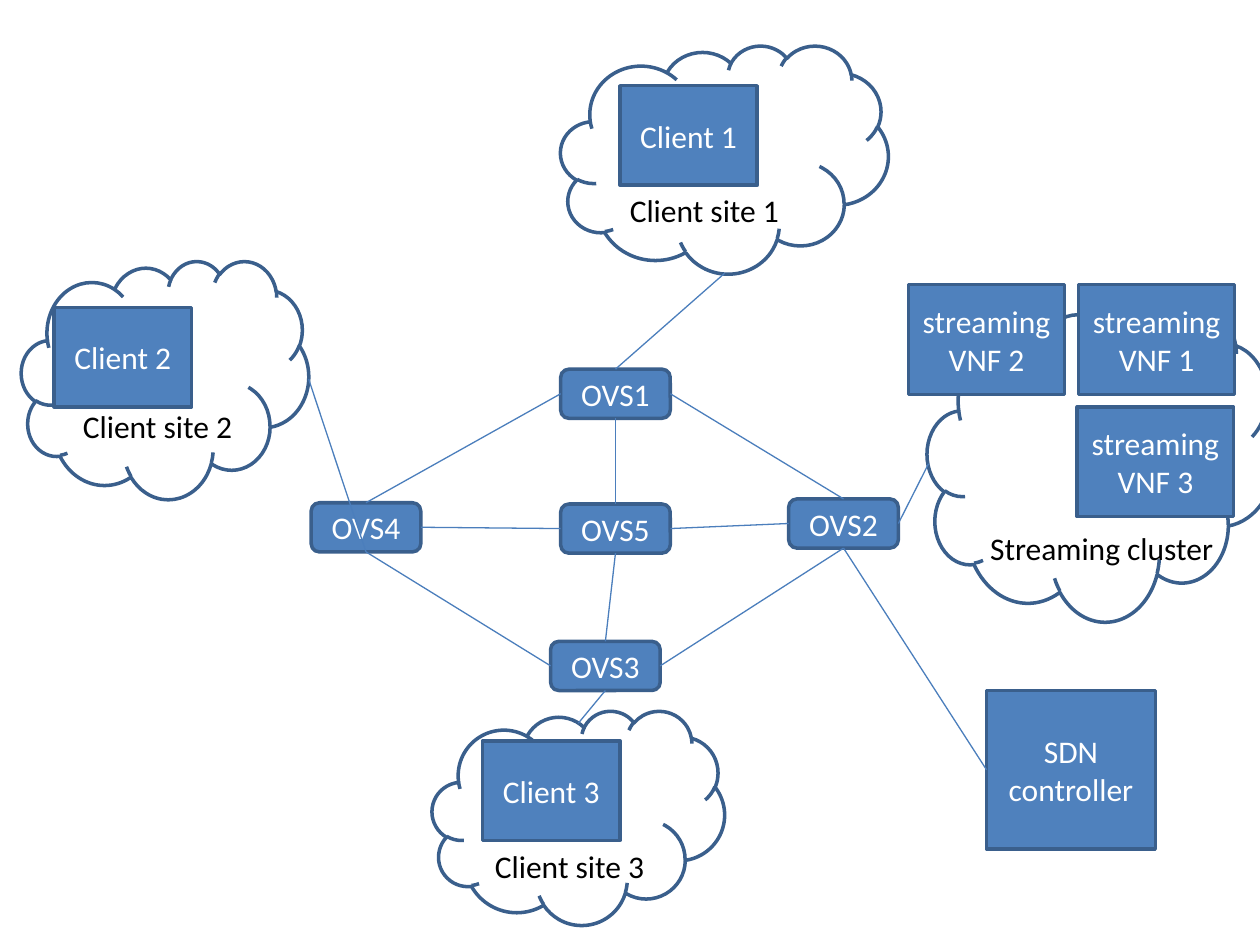
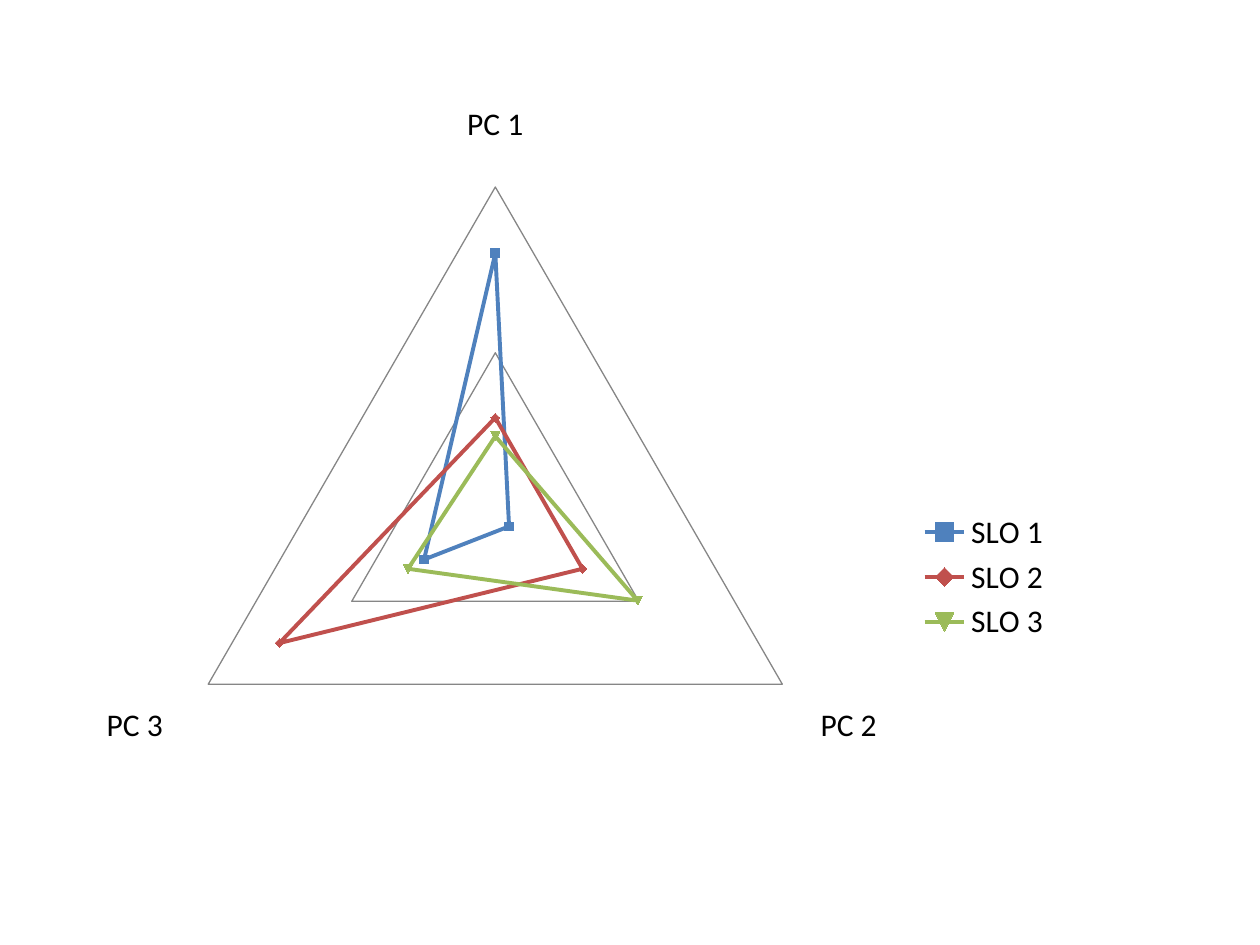
"""Build a streaming network map and a radar chart of its service levels."""
from pptx import Presentation
from pptx.chart import data
from pptx.dml.color import RGBColor
from pptx.enum import chart as kinds, shapes, text
from pptx.oxml import parse_xml
from pptx.oxml.ns import nsdecls, qn
from pptx.util import Inches, Pt

FONT = "Calibri"
BLUE, EDGE, LINK = "4F81BD", "3A5F8C", "4B7EBC"
WHITE, BLACK, GRID = "FFFFFF", "000000", "868686"
TOP, LEFT, BOTTOM, RIGHT = range(4)
RECT = shapes.MSO_SHAPE.RECTANGLE
ROUND = shapes.MSO_SHAPE.ROUNDED_RECTANGLE
CLOUD = shapes.MSO_SHAPE.CLOUD


def paint(fmt, color):
    """Set a solid colour on a fill."""
    fmt.solid()
    fmt.fore_color.rgb = RGBColor.from_string(color)


def style(font, color=BLACK, size=18):
    """Set the font of a run or a chart."""
    font.name, font.size = FONT, Pt(size)
    font.color.rgb = RGBColor.from_string(color)


def write(frame, words, color=BLACK, align=None, anchor=None, wrap=True):
    """Put formatted words in a text frame."""
    frame.word_wrap = wrap
    frame.vertical_anchor = anchor
    para = frame.paragraphs[0]
    para.alignment = align
    run = para.add_run()
    run.text = words
    style(run.font, color)


def shape(slide, kind, box, fill=BLUE, words=None):
    """Add an outlined shape, with centred white words if given."""
    item = slide.shapes.add_shape(kind, *map(Inches, box))
    item.shadow.inherit = False
    paint(item.fill, fill)
    paint(item.line.fill, EDGE)
    item.line.width = Pt(2)
    if words:
        write(item.text_frame, words, color=WHITE,
              align=text.PP_ALIGN.CENTER, anchor=text.MSO_ANCHOR.MIDDLE)
    return item


def label(slide, words, left, top, width=1.4):
    """Add a one-line label."""
    box = slide.shapes.add_textbox(*map(Inches, (left, top, width, 0.4)))
    write(box.text_frame, words, wrap=False)
    box.text_frame.auto_size = text.MSO_AUTO_SIZE.SHAPE_TO_FIT_TEXT


def link(slide, start, side, end, port=None):
    """Join a side of a node to a side of another node or to a point."""
    x, y = (0, 0) if port is not None else map(Inches, end)
    line = slide.shapes.add_connector(
        shapes.MSO_CONNECTOR.STRAIGHT, 0, 0, x, y)
    line.begin_connect(start, side)
    if port is not None:
        line.end_connect(end, port)
    paint(line.line.fill, LINK)
    line.line.width = Pt(0.75)
    line._element.spPr.append(parse_xml(f"<a:effectLst {nsdecls('a')}/>"))


def draw_map(slide):
    """Draw the switches, sites, links and hosts."""
    spots = {1: (4.45, 2.93), 4: (2.47, 3.99), 3: (4.37, 5.09),
             2: (6.26, 3.96), 5: (4.45, 4)}
    ovs = {n: shape(slide, ROUND, (*spot, 0.87, 0.39), words=f"OVS{n}")
           for n, spot in spots.items()}
    sdn = shape(slide, RECT, (7.83, 5.48, 1.34, 1.26), words="SDN controller")

    for box in ((7.36, 2.42, 2.76, 2.51), (3.43, 5.64, 2.32, 1.7),
                (0.17, 2.07, 2.28, 1.89), (4.45, 0.36, 2.6, 1.81)):
        shape(slide, CLOUD, box, fill=WHITE)

    for n, side, point in ((4, BOTTOM, (2.45, 3.01)), (3, BOTTOM, (4.59, 5.74)),
                           (1, TOP, (5.75, 2.17)), (2, RIGHT, (7.37, 3.68))):
        link(slide, ovs[n], side, point)
    link(slide, ovs[2], BOTTOM, sdn, LEFT)
    for a, side, b, port in ((3, RIGHT, 2, BOTTOM), (4, BOTTOM, 3, LEFT),
                             (4, TOP, 1, LEFT), (1, RIGHT, 2, TOP),
                             (5, TOP, 1, BOTTOM), (5, LEFT, 4, RIGHT),
                             (5, BOTTOM, 3, TOP), (5, RIGHT, 2, LEFT)):
        link(slide, ovs[a], side, ovs[b], port)

    for n, spot in ((2, (7.21, 2.26)), (1, (8.56, 2.26)), (3, (8.55, 3.23))):
        shape(slide, RECT, (*spot, 1.24, 0.87), words=f"streaming VNF {n}")
    hosts = ((4.92, 0.68), (0.43, 2.44), (3.83, 5.88))
    names = ((4.9, 1.47), (0.56, 3.18), (3.83, 6.67))
    for n, (host, name) in enumerate(zip(hosts, names), 1):
        shape(slide, RECT, (*host, 1.09, 0.79), words=f"Client {n}")
        label(slide, f"Client site {n}", *name)
    label(slide, "Streaming cluster", 7.76, 4.15, width=1.99)


def place(part, box, inner=False):
    """Fix a chart part at fractions of the chart's size."""
    for old in part.findall(qn("c:layout")):
        part.remove(old)
    target = '<c:layoutTarget val="inner"/>' if inner else ""
    modes = "".join(f'<c:{k}Mode val="edge"/>' for k in "xy")
    sizes = "".join(f'<c:{k} val="{v}"/>' for k, v in zip("xywh", box))
    node = parse_xml(f"<c:layout {nsdecls('c')}><c:manualLayout>{target}"
                     f"{modes}{sizes}</c:manualLayout></c:layout>")
    part.insert(0 if inner else 1, node)


def draw_radar(slide):
    """Draw the radar chart of the service levels."""
    rows = (("SLO 1", (100, 6, 31), BLUE), ("SLO 2", (38, 38, 94), "C0504D"),
            ("SLO 3", (31, 62, 38), "9BBB59"))
    table = data.CategoryChartData()
    table.categories = ["PC 1", "PC 2", "PC 3 "]
    for name, vals, _ in rows:
        table.add_series(name, vals)
    chart = slide.shapes.add_chart(
        kinds.XL_CHART_TYPE.RADAR_MARKERS,
        *map(Inches, (-0.67, 0.68, 10.34, 6.19)), table).chart
    style(chart.font)
    chart.has_title = False
    chart.has_legend = True
    chart.legend.position = kinds.XL_LEGEND_POSITION.RIGHT
    chart.legend.include_in_layout = False
    for line, (_, _, color) in zip(chart.plots[0].series, rows):
        line.smooth = False
        paint(line.format.line.fill, color)
        line.format.line.width = Pt(2.25)
        paint(line.marker.format.fill, color)
        paint(line.marker.format.line.fill, color)
    axis = chart.value_axis
    axis.minimum_scale, axis.maximum_scale, axis.major_unit = 0, 125, 62.5
    axis.has_major_gridlines = True
    paint(axis.major_gridlines.format.line.fill, GRID)
    axis.major_gridlines.format.line.width = Pt(0.75)
    axis.visible = False
    place(chart._chartSpace.chart.plotArea, (0.19, 0.13, 0.51, 0.85), inner=True)
    place(chart.legend._element, (0.76, 0.54, 0.12, 0.18))


def main():
    """Build and save both slides."""
    deck = Presentation()
    deck.slide_width, deck.slide_height = Inches(10), Inches(7.5)
    for draw in (draw_map, draw_radar):
        draw(deck.slides.add_slide(deck.slide_layouts[6]))
    deck.save("out.pptx")


if __name__ == "__main__":
    main()
